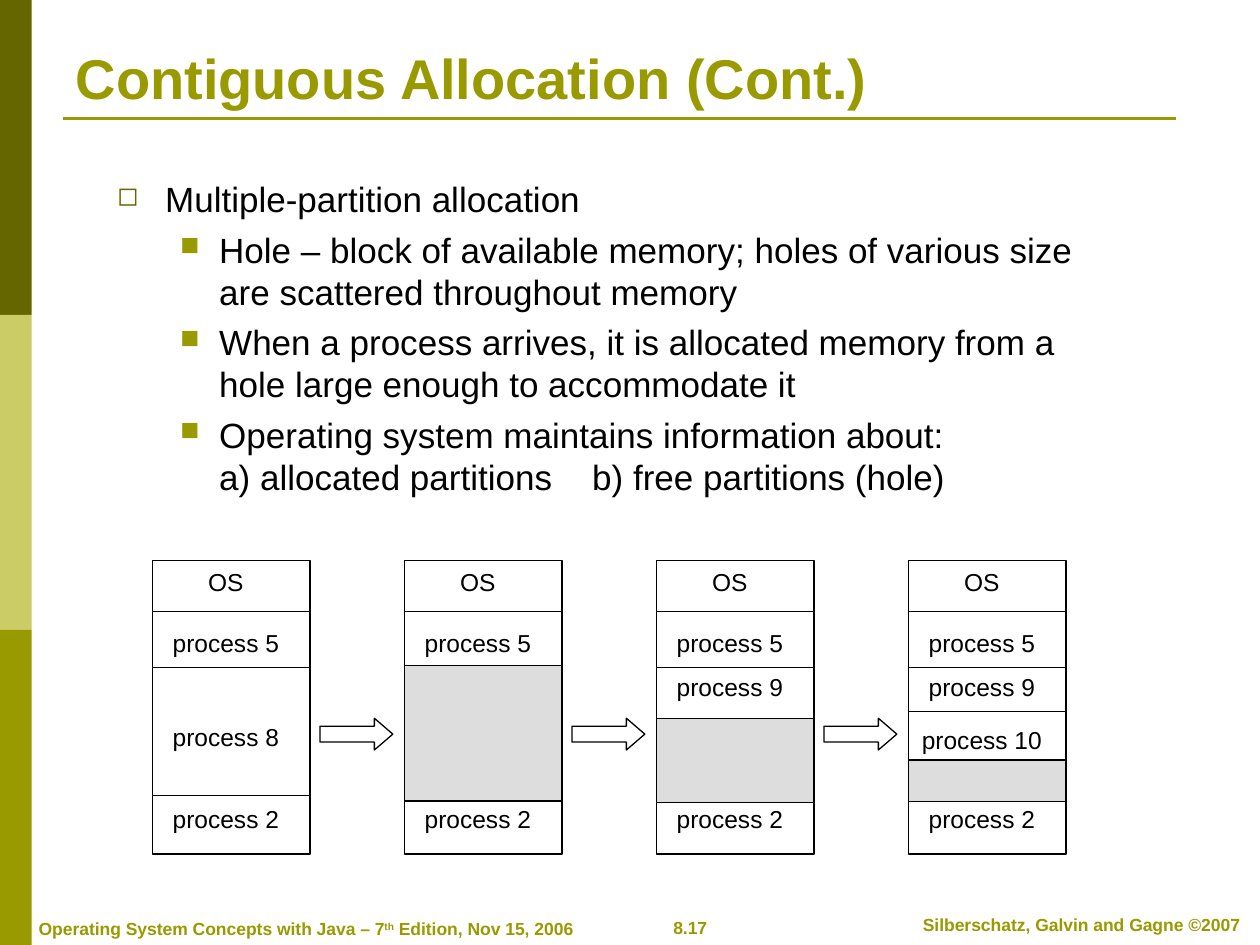
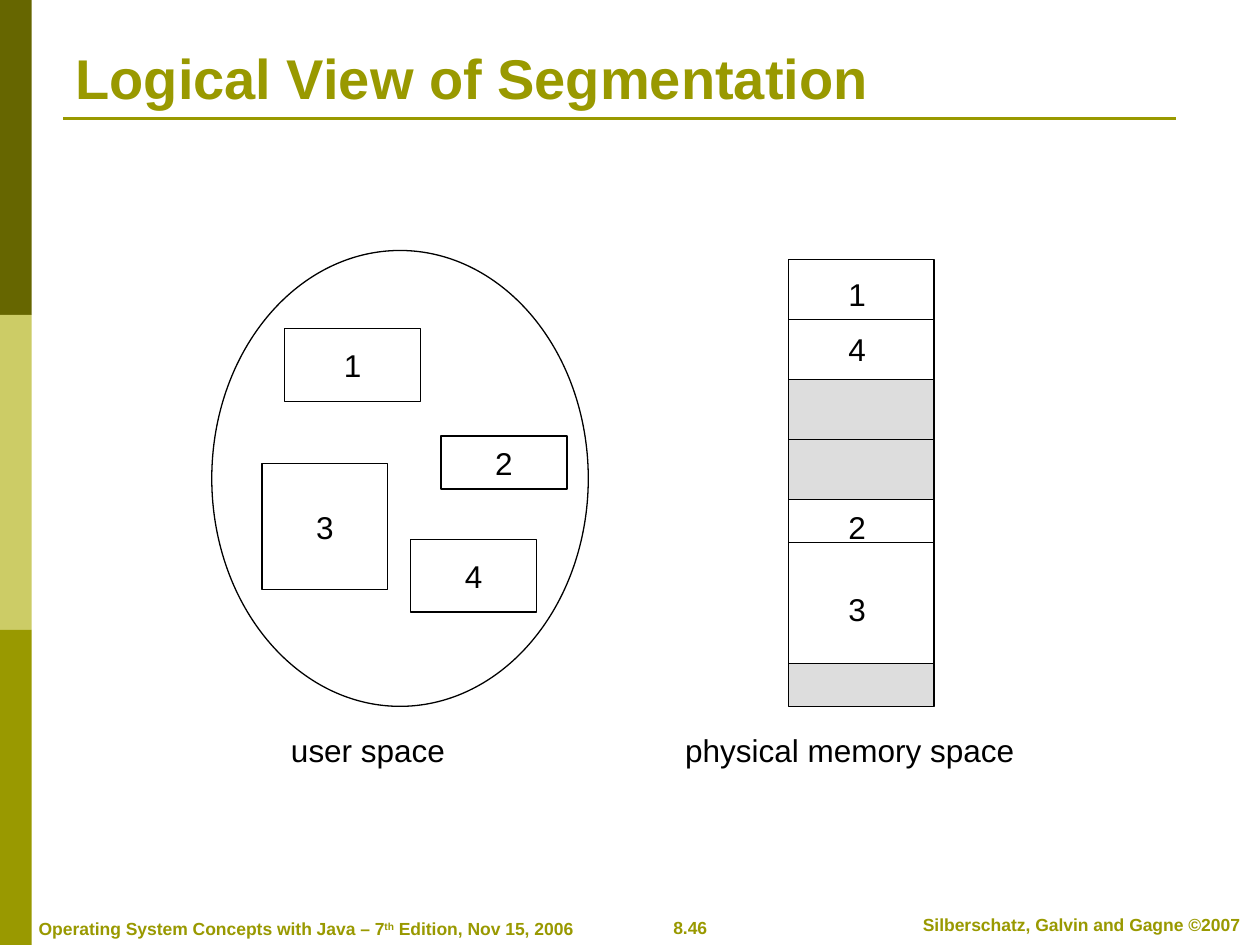
from dataclasses import dataclass

from lxml.etree import SubElement
from pptx import Presentation
from pptx.dml.color import RGBColor as Rgb
from pptx.enum.shapes import MSO_CONNECTOR as Connector, MSO_SHAPE as Shape
from pptx.enum.text import MSO_ANCHOR as Anchor, MSO_AUTO_SIZE as AutoSize, PP_ALIGN as Align
from pptx.oxml.ns import qn
from pptx.util import Cm, Pt


@dataclass(frozen=True)
class Theme:
    font: str = "Arial"
    olive: str = "999900"
    dark_olive: str = "666600"
    light_olive: str = "CCCC66"
    black: str = "000000"
    white: str = "FFFFFF"
    hole: str = "DDDDDD"
    title_size: int = 32
    body_size: int = 20
    segment_size: int = 18
    process_size: int = 14
    footer_size: int = 10
    thin: float = 0.75
    rule: float = 1.5


THEME = Theme()


@dataclass(frozen=True)
class MemoryState:
    """One memory column: labels as (text, top), dividers, and hole as (top, height)."""
    labels: tuple
    dividers: tuple
    hole: tuple = ()


# Slide 1 data, in centimetres
COLUMN_LEFT, COLUMN_STEP, COLUMN_WIDTH = 3.07, 5.08, 3.18
COLUMN_TOP, COLUMN_HEIGHT = 11.3, 5.92
SHARED_LABELS = (("OS", 11.3), ("process 5", 12.52), ("process 2", 16.08))
OS_BOTTOM, PROCESS_5_BOTTOM = 12.32, 13.46
PROCESS_9 = ("process 9", 13.41)
MEMORY_STATES = (
    MemoryState((("process 8", 14.43),), (PROCESS_5_BOTTOM, 16.03)),
    MemoryState((), (), (13.41, 2.74)),
    MemoryState((PROCESS_9,), (PROCESS_5_BOTTOM,), (14.48, 1.7)),
    MemoryState((PROCESS_9, ("process 10", 14.48)), (PROCESS_5_BOTTOM, 14.35), (15.32, 0.84)),
)
BULLETS = (
    (0, "Multiple-partition allocation"),
    (1, "Hole – block of available memory; holes of various size are scattered throughout memory"),
    (1, "When a process arrives, it is allocated memory from a hole large enough to accommodate it"),
    (1, "Operating system maintains information about:\n"
        "a) allocated partitions\tb) free partitions (hole)"),
)
# Bullet character, colour, left margin and hanging indent for each level
BULLET_LEVELS = (("◻", THEME.dark_olive, 0.97, 0.97), ("■", THEME.olive, 2.06, 0.79))
TAB_STOP = 9.58

# Slide 2 data, in centimetres
USER_SEGMENTS = (
    ("1", 5.74, 6.63, 2.74, 1.47),
    ("3", 5.28, 9.35, 2.54, 2.54),
    ("2", 8.89, 8.79, 2.54, 1.07),
    ("4", 8.28, 10.87, 2.54, 1.47),
)
# Height, label and label top of each block, from the top down
PHYSICAL_BLOCKS = (
    (1.21, "1", 5.41), (1.21, "4", 6.53), (1.21, None, None), (1.21, None, None),
    (0.87, "2", 10.11), (2.44, "3", 11.76), (0.86, None, None),
)


def add_text(paragraph, text, size, color=THEME.black, bold=False, align=None, baseline=None):
    """Append formatted text to a paragraph; a newline is a line break."""
    if align is not None:
        paragraph.alignment = align
    for index, line in enumerate(text.split("\n")):
        if index:
            paragraph.add_line_break()
        run = paragraph.add_run()
        run.text = line
        run.font.name = THEME.font
        run.font.size = Pt(size)
        run.font.bold = bold
        run.font.color.rgb = Rgb.from_string(color)
        if baseline:
            run.font.superscript = None if not hasattr(run.font, "superscript") else True
            run._r.get_or_add_rPr().set("baseline", str(baseline * 1000))


def add_text_box(slide, left, top, width, height, anchor=Anchor.TOP):
    box = slide.shapes.add_textbox(Cm(left), Cm(top), Cm(width), Cm(height))
    box.text_frame.word_wrap = True
    box.text_frame.vertical_anchor = anchor
    return box.text_frame


def add_label(slide, text, left, top, width, height, size, **format_options):
    frame = add_text_box(slide, left, top, width, height, Anchor.MIDDLE)
    add_text(frame.paragraphs[0], text, size, align=Align.CENTER, **format_options)


def add_block(slide, left, top, width, height, fill=THEME.white, outline=THEME.black,
              kind=Shape.RECTANGLE):
    shape = slide.shapes.add_shape(kind, Cm(left), Cm(top), Cm(width), Cm(height))
    shape.shadow.inherit = False
    shape.fill.solid()
    shape.fill.fore_color.rgb = Rgb.from_string(fill)
    if outline:
        shape.line.color.rgb = Rgb.from_string(outline)
        shape.line.width = Pt(THEME.thin)
    else:
        shape.line.fill.background()
    return shape


def add_rule(slide, left, top, width, color=THEME.black, weight=THEME.thin):
    line = slide.shapes.add_connector(
        Connector.STRAIGHT, Cm(left), Cm(top), Cm(left + width), Cm(top))
    line.line.color.rgb = Rgb.from_string(color)
    line.line.width = Pt(weight)
    SubElement(line._element.spPr, qn("a:effectLst"))


def set_bullet(paragraph, level):
    character, color, margin, hanging = BULLET_LEVELS[level]
    paragraph.level = level
    properties = paragraph._p.get_or_add_pPr()
    properties.set("marL", str(Cm(margin)))
    properties.set("indent", str(-Cm(hanging)))
    SubElement(SubElement(properties, qn("a:buClr")), qn("a:srgbClr"), val=color)
    SubElement(properties, qn("a:buSzPct"), val="75000")
    SubElement(properties, qn("a:buChar"), char=character)
    tabs = SubElement(properties, qn("a:tabLst"))
    SubElement(tabs, qn("a:tab"), pos=str(Cm(TAB_STOP)), algn="l")


def add_framed_slide(presentation, title_text, page):
    """Add a title-only slide with the side band, title rule and footers."""
    slide = presentation.slides.add_slide(presentation.slide_layouts[5])

    # Side band
    band_height = 6.35
    for index, color in enumerate((THEME.dark_olive, THEME.light_olive, THEME.olive)):
        add_block(slide, 0, index * band_height, 0.64, band_height, color, outline=None)

    # Title and rule
    title = slide.shapes.title
    title.left, title.top, title.width, title.height = Cm(1.27), Cm(0.76), Cm(22.86), Cm(1.6)
    title.text_frame.auto_size = AutoSize.NONE
    title.text_frame.vertical_anchor = Anchor.BOTTOM
    add_text(title.text_frame.paragraphs[0], title_text, THEME.title_size,
             color=THEME.olive, bold=True, align=Align.LEFT)
    add_rule(slide, 1.27, 2.39, 22.43, THEME.olive, THEME.rule)

    # Footers
    style = dict(size=THEME.footer_size, color=THEME.olive, bold=True)
    book = add_text_box(slide, 0.53, 18.39, 12, 0.69).paragraphs[0]
    add_text(book, "Operating System Concepts with Java – 7", **style)
    add_text(book, "th", baseline=30, **style)
    add_text(book, " Edition, Nov 15, 2006", **style)
    add_label(slide, page, 12.67, 18.36, 2.49, 0.69, **style)
    add_label(slide, "Silberschatz, Galvin and Gagne ©2007", 18.03, 18.29, 7.54, 0.69, **style)
    return slide


def add_bullets(slide):
    frame = add_text_box(slide, 2.11, 3.45, 20.42, 7.24)
    for index, (level, text) in enumerate(BULLETS):
        paragraph = frame.add_paragraph() if index else frame.paragraphs[0]
        set_bullet(paragraph, level)
        if index:
            paragraph.space_before = Pt(5)
        add_text(paragraph, text, THEME.body_size)


def add_memory_column(slide, left, state):
    add_block(slide, left, COLUMN_TOP, COLUMN_WIDTH, COLUMN_HEIGHT)
    for top in (OS_BOTTOM, *state.dividers):
        add_rule(slide, left, top, COLUMN_WIDTH)
    if state.hole:
        top, height = state.hole
        add_block(slide, left, top, COLUMN_WIDTH, height, THEME.hole)
    for text, top in SHARED_LABELS + state.labels:
        add_label(slide, text, left, top, 2.97, 0.86, THEME.process_size)


def add_allocation_slide(presentation):
    slide = add_framed_slide(presentation, "Contiguous Allocation (Cont.)", "8.17")
    add_bullets(slide)
    for index, state in enumerate(MEMORY_STATES):
        left = COLUMN_LEFT + index * COLUMN_STEP
        add_memory_column(slide, left, state)
        # Arrow from the previous column
        if index:
            arrow = add_block(slide, left - 1.7, 14.48, 1.47, 0.64, kind=Shape.RIGHT_ARROW)
            arrow.adjustments[1] = 0.58


def add_segmentation_slide(presentation):
    slide = add_framed_slide(presentation, "Logical View of Segmentation", "8.46")

    # User space
    add_block(slide, 4.27, 5.05, 7.59, 9.19, kind=Shape.OVAL)
    for text, *place in USER_SEGMENTS:
        frame = add_block(slide, *place).text_frame
        frame.vertical_anchor = Anchor.MIDDLE
        add_text(frame.paragraphs[0], text, THEME.segment_size, align=Align.CENTER)

    # Physical memory
    top = 5.23
    for height, text, label_top in PHYSICAL_BLOCKS:
        add_block(slide, 15.9, top, 2.93, height, THEME.white if text else THEME.hole)
        if text:
            add_label(slide, text, 16.78, label_top, 1, 1.02, THEME.segment_size)
        top += height

    # Captions
    for text, center in (("user space", 7.42), ("physical memory space", 17.13)):
        add_label(slide, text, center - 4, 14.61, 8, 1.02, THEME.segment_size)


def main():
    presentation = Presentation()
    presentation.slide_width, presentation.slide_height = Cm(25.4), Cm(19.05)
    add_allocation_slide(presentation)
    add_segmentation_slide(presentation)
    presentation.save("out.pptx")


if __name__ == "__main__":
    main()
